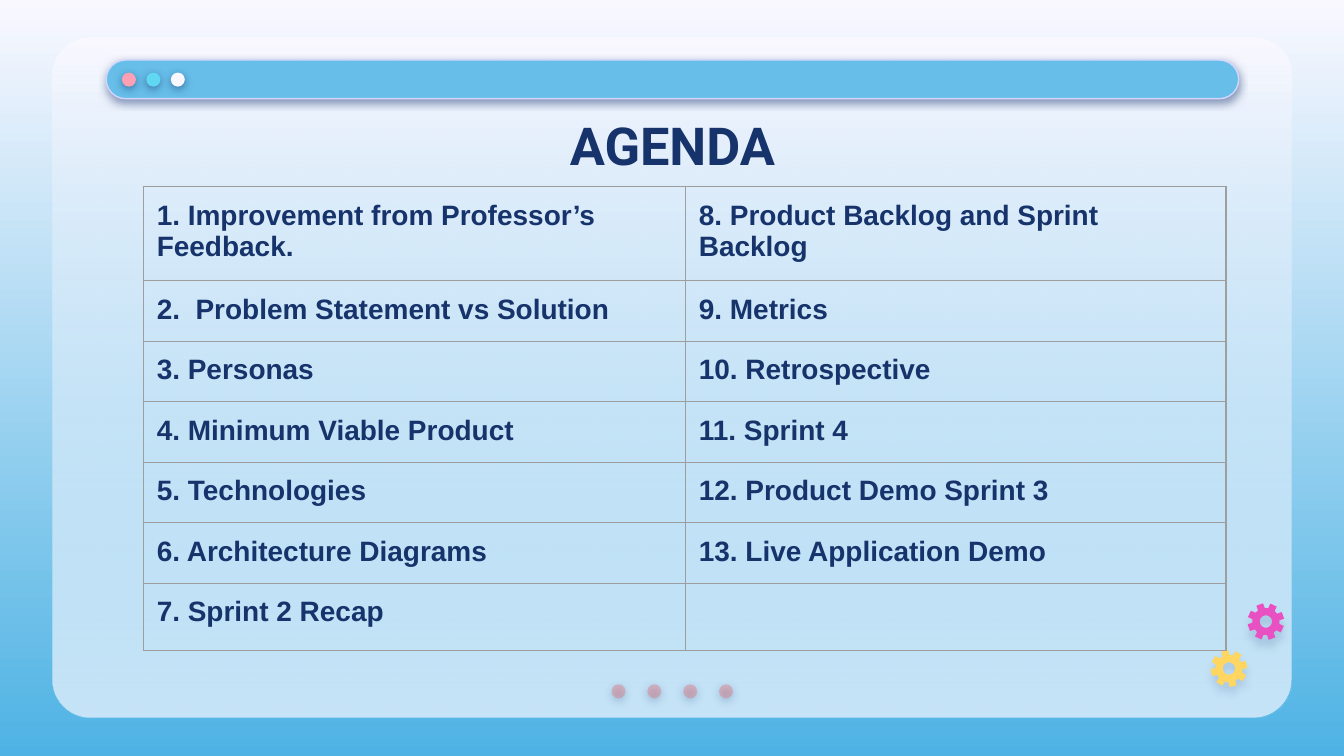
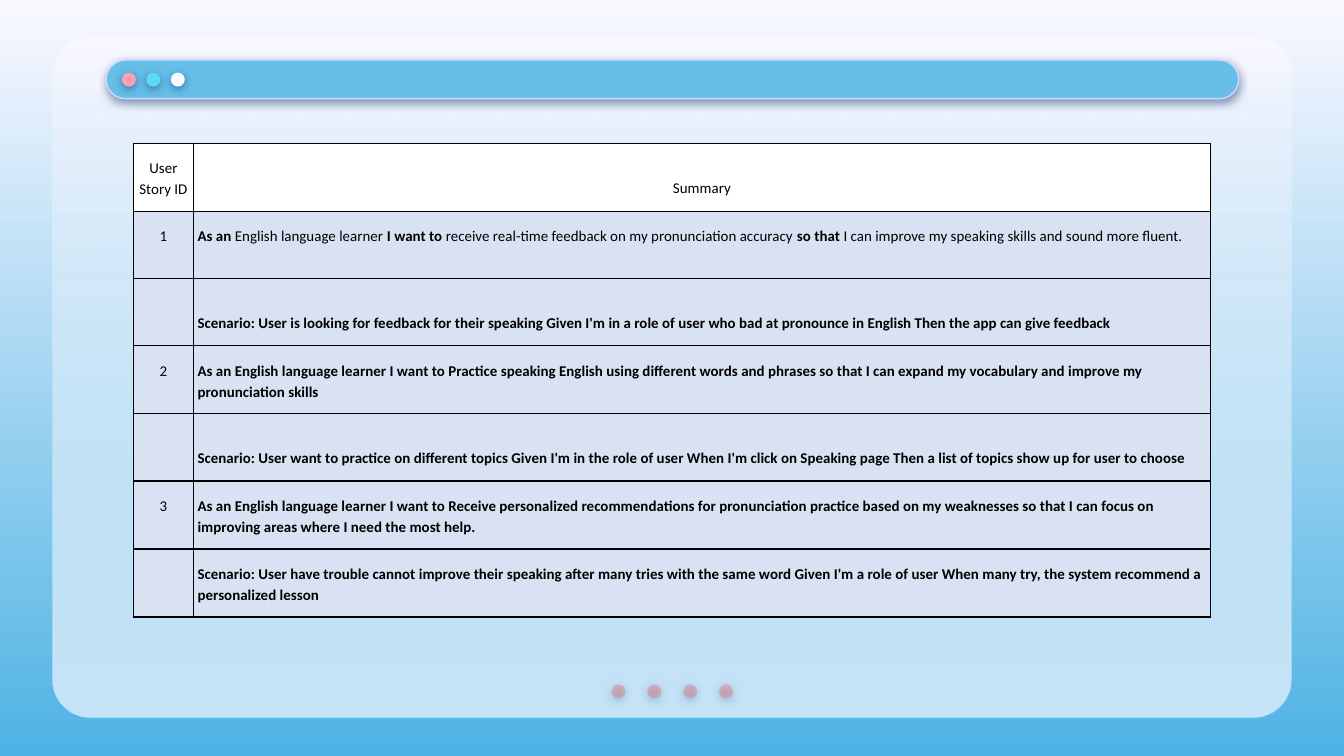
from dataclasses import dataclass
from math import cos, radians, sin

from lxml.etree import SubElement
from pptx import Presentation
from pptx.dml.color import RGBColor
from pptx.enum.shapes import MSO_SHAPE as Preset
from pptx.enum.text import MSO_ANCHOR as Anchor, PP_ALIGN as Align
from pptx.oxml.ns import qn
from pptx.util import Pt


@dataclass(frozen=True)
class Theme:
    pale: str = "F9F8FF"
    sky: str = "4EB3E4"
    bar: str = "66BEE9"
    bar_edge: str = "D2D6FF"
    navy: str = "17336B"
    rose: str = "E27B83"
    pink: str = "FDA0B4"
    cyan: str = "60D8F4"
    magenta: str = "E951C2"
    yellow: str = "FFD65F"
    grid: str = "9E9E9E"
    black: str = "000000"
    white: str = "FFFFFF"
    story: str = "D9E2F3"
    title_font: str = "Roboto"
    agenda_font: str = "Arial"
    story_font: str = "Calibri"
    title_size: float = 28
    agenda_size: float = 15
    story_size: float = 8
    empty_size: float = 18


def rgb(color):
    return RGBColor.from_string(color)


def set_alpha(color_element, percent):
    SubElement(color_element, qn("a:alpha"), val=str(percent * 1000))


def fade_down(fill, top, bottom):
    fill.gradient()
    fill.gradient_angle = 270
    for stop, color, position in zip(fill.gradient_stops, (top, bottom), (0, 1)):
        stop.color.rgb = rgb(color)
        stop.position = position


class Deck:
    def __init__(self, theme):
        self.theme = theme
        self.prs = Presentation()
        self.prs.slide_width, self.prs.slide_height = Pt(720), Pt(405)
        self.slide = None

    def new_slide(self):
        t = self.theme
        self.slide = self.prs.slides.add_slide(self.prs.slide_layouts[6])
        fade_down(self.slide.background.fill, t.pale, t.sky)

        panel = (28.1, 20.2, 663.8, 364.3)
        self.shape(Preset.ROUNDED_RECTANGLE, panel, t.pale, adjust=0.056)
        veil = self.shape(Preset.ROUNDED_RECTANGLE, panel, t.pale, adjust=0.056)
        fade_down(veil.fill, t.pale, t.bar)
        set_alpha(list(veil.element.spPr.iter(qn("a:srgbClr")))[-1], 34)

        for i in range(4):
            self.dot(327.6 + 19.2 * i, 366.6, t.rose, alpha=44)
        browser_bar = self.shape(Preset.ROUNDED_RECTANGLE, (56.9, 32.2, 606.7, 20.7),
                                 t.bar, adjust=0.5)
        browser_bar.line.color.rgb = rgb(t.bar_edge)
        browser_bar.line.width = Pt(0.75)
        self.shadow(browser_bar)
        for i, color in enumerate((t.pink, t.cyan, t.pale)):
            self.dot(65.3 + 13.1 * i, 38.9, color)

    def shadow(self, shape, alpha=50, distance=1.5):
        shape.shadow.inherit = False
        effects = shape.element.spPr.find(qn("a:effectLst"))
        outer = SubElement(effects, qn("a:outerShdw"), blurRad=str(Pt(4.5)),
                           dist=str(Pt(distance)), dir="5400000",
                           algn="bl", rotWithShape="0")
        set_alpha(SubElement(outer, qn("a:srgbClr"), val=self.theme.navy), alpha)

    def paint(self, shape, color):
        shape.shadow.inherit = False
        shape.fill.solid()
        shape.fill.fore_color.rgb = rgb(color)
        shape.line.fill.background()

    def shape(self, preset, box, color, adjust=None):
        shape = self.slide.shapes.add_shape(preset, *map(Pt, box))
        if adjust is not None:
            shape.adjustments[0] = adjust
        self.paint(shape, color)
        return shape

    def dot(self, left, top, color, alpha=None):
        dot = self.shape(Preset.OVAL, (left, top, 7.5, 7.5), color)
        if alpha:
            set_alpha(next(dot.element.spPr.iter(qn("a:srgbClr"))), alpha)
        self.shadow(dot)

    def gear(self, x, y, color, turn, shadow_alpha, shadow_distance):
        def at(radius, degrees):
            angle = radians(degrees)
            return Pt(x + radius * cos(angle)), Pt(y + radius * sin(angle))

        tooth = ((7.3, -15), (9.9, -11), (9.9, 11), (7.3, 15))
        rim = [at(radius, turn + 45 * i + offset)
               for i in range(8) for radius, offset in tooth]
        hole = [at(3.3, -15 * i) for i in range(24)]
        outline = self.slide.shapes.build_freeform(*rim[0])
        outline.add_line_segments(rim[1:])
        outline.move_to(*hole[0])
        outline.add_line_segments(hole[1:])
        gear = outline.convert_to_shape()
        self.paint(gear, color)
        self.shadow(gear, shadow_alpha, shadow_distance)

    def style(self, run, font, size, color, bold):
        run.font.name, run.font.size, run.font.bold = font, Pt(size), bold
        run.font.color.rgb = rgb(color)

    def title(self, text):
        t = self.theme
        frame = self.slide.shapes.add_textbox(Pt(56.9), Pt(54.9), Pt(606.7), Pt(45.2)).text_frame
        frame.word_wrap = True
        frame.vertical_anchor = Anchor.MIDDLE
        frame.margin_left = frame.margin_right = Pt(7.2)
        frame.margin_top = frame.margin_bottom = Pt(7.2)
        frame.text = text
        heading = frame.paragraphs[0]
        heading.alignment = Align.CENTER
        self.style(heading.runs[0], t.title_font, t.title_size, t.navy, True)

    def table(self, left, top, widths, heights):
        table = self.slide.shapes.add_table(len(heights), len(widths), Pt(left), Pt(top),
                                            Pt(sum(widths)), Pt(sum(heights))).table
        table.first_row = table.horz_banding = False
        for column, width in zip(table.columns, widths):
            column.width = Pt(width)
        for row, height in zip(table.rows, heights):
            row.height = Pt(height)
        return table

    def cell(self, cell, parts, font, size, color, border, side_margin=7.2,
             fill=None, anchor=Anchor.TOP, align=Align.LEFT, spacing=None):
        props = cell._tc.get_or_add_tcPr()
        for side in ("a:lnL", "a:lnR", "a:lnT", "a:lnB"):
            line = SubElement(props, qn(side), w=str(Pt(0.75)))
            SubElement(SubElement(line, qn("a:solidFill")), qn("a:srgbClr"), val=border)
        if fill:
            cell.fill.solid()
            cell.fill.fore_color.rgb = rgb(fill)
        else:
            cell.fill.background()
        cell.margin_left = cell.margin_right = Pt(side_margin)
        cell.margin_top = cell.margin_bottom = Pt(7.2)
        cell.vertical_anchor = anchor
        paragraph = cell.text_frame.paragraphs[0]
        paragraph.alignment = align
        if not parts:
            end = SubElement(paragraph._p, qn("a:endParaRPr"),
                             sz=str(self.theme.empty_size * 100))
            SubElement(end, qn("a:latin"), typeface=self.theme.agenda_font)
            return
        if spacing:
            paragraph.line_spacing = spacing
        for text, bold in parts:
            run = paragraph.add_run()
            run.text = text
            self.style(run, font, size, color, bold)


AGENDA = [
    ("1. Improvement from Professor’s Feedback.", "8. Product Backlog and Sprint Backlog"),
    ("2.  Problem Statement vs Solution", "9. Metrics"),
    ("3. Personas", "10. Retrospective"),
    ("4. Minimum Viable Product", "11. Sprint 4"),
    ("5. Technologies", "12. Product Demo Sprint 3"),
    ("6. Architecture Diagrams", "13. Live Application Demo"),
    ("7. Sprint 2 Recap", ""),
]

STORIES = [
    ("1",
     [("As an ", True), ("English language learner ", False), ("I want to ", True),
      ("receive real-time feedback on my pronunciation accuracy ", False),
      ("so that", True),
      (" I can improve my speaking skills and sound more fluent.", False)],
     "Scenario: User is looking for feedback for their speaking Given I'm in a role of user "
     "who bad at pronounce in English Then the app can give feedback"),
    ("2",
     [("As an English language learner I want to Practice speaking English using different "
       "words and phrases so that I can expand my vocabulary and improve my "
       "pronunciation skills", True)],
     "Scenario: User want to practice on different topics Given I'm in the role of user "
     "When I'm click on Speaking page Then a list of topics show up for user to choose"),
    ("3",
     [("As an English language learner I want to Receive personalized recommendations for "
       "pronunciation practice based on my weaknesses so that I can focus on improving "
       "areas where I need the most help.", True)],
     "Scenario: User have trouble cannot improve their speaking after many tries with the "
     "same word Given I'm a role of user When many try, the system recommend a "
     "personalized lesson"),
]


def agenda_slide(deck):
    t = deck.theme
    deck.new_slide()
    deck.title("AGENDA")
    deck.gear(678.2, 333, t.magenta, 25, 16, 4.5)
    deck.gear(658.4, 358.2, t.yellow, 32, 15, 3.8)
    agenda = deck.table(76.8, 99.9, (290.4, 289.6), [48.2] + [31] * 6)
    for r, topics in enumerate(AGENDA):
        for c, topic in enumerate(topics):
            deck.cell(agenda.cell(r, c), [(topic, True)] if topic else [],
                      t.agenda_font, t.agenda_size, t.navy, t.grid)


def stories_slide(deck):
    t = deck.theme
    deck.new_slide()
    rows = [([("User Story ID", False)], [("Summary", False)], t.white, Anchor.BOTTOM)]
    for number, story, scenario in STORIES:
        rows.append(([(number, False)], story, t.story, Anchor.TOP))
        rows.append(([], [(scenario, True)], t.story, Anchor.BOTTOM))
    backlog = deck.table(71.5, 76.8, (32.2, 544.8), [36, 36, 30.2] + [36] * 4)
    for r, (number, summary, fill, anchor) in enumerate(rows):
        summary_align = Align.LEFT if r else Align.CENTER
        for c, (parts, align) in enumerate(((number, Align.CENTER), (summary, summary_align))):
            deck.cell(backlog.cell(r, c), parts, t.story_font, t.story_size, t.black, t.black,
                      side_margin=2.2, fill=fill, anchor=anchor, align=align, spacing=1.15)


def main():
    deck = Deck(Theme())
    agenda_slide(deck)
    stories_slide(deck)
    deck.prs.save("out.pptx")


if __name__ == "__main__":
    main()
